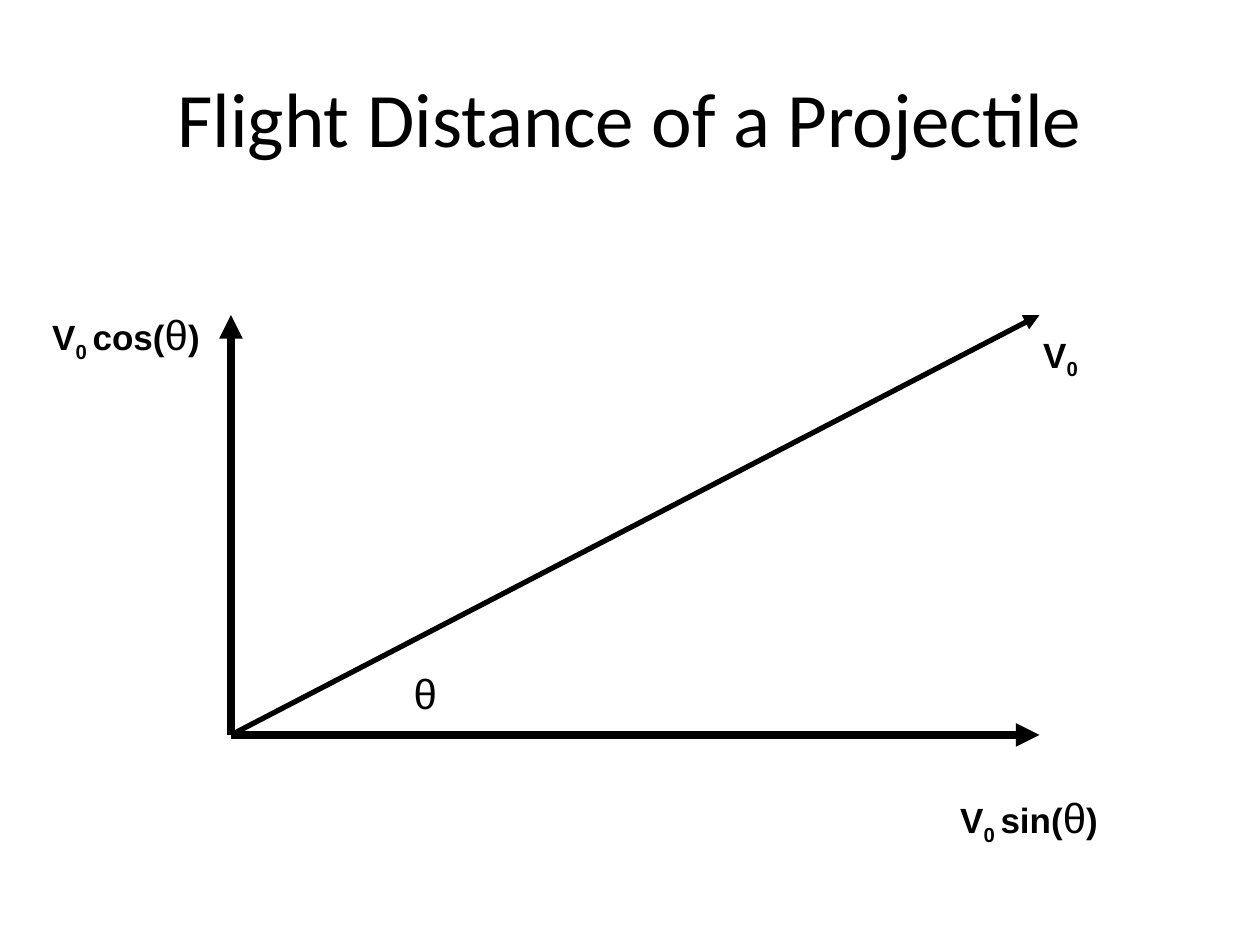
from dataclasses import dataclass

from lxml import etree
from pptx import Presentation
from pptx import util as u
from pptx.dml.color import RGBColor
from pptx.enum import shapes, text
from pptx.oxml.ns import qn


@dataclass(frozen=True)
class Theme:
    ink: RGBColor = RGBColor(0, 0, 0)
    title_font: str = "Calibri"
    label_font: str = "Arial"
    title_size: int = 44
    label_size: int = 20
    angle_size: int = 24
    axis_width: float = 4.5
    velocity_width: float = 3


THEME = Theme()
WIDTH, HEIGHT = u.Inches(10), u.Inches(7.5)
COLUMNS, ROWS = 120, 90

TITLE = {"name": THEME.title_font, "size": u.Pt(THEME.title_size), "bold": False}
LABEL = {"name": THEME.label_font, "size": u.Pt(THEME.label_size), "bold": True}
ANGLE = {"name": THEME.label_font, "size": u.Pt(THEME.angle_size), "bold": False}

ORIGIN = (22, 70)
UP, RIGHT, DIAGONAL = (22, 30), (99, 70), (99, 30)


def column(count):
    return round(WIDTH * count / COLUMNS)


def row(count):
    return round(HEIGHT * count / ROWS)


def add_text(slide, box, runs, wrap=False):
    left, top, width, height = box
    shape = slide.shapes.add_textbox(column(left), row(top), column(width), row(height))
    frame = shape.text_frame
    frame.word_wrap = wrap
    frame.vertical_anchor = text.MSO_ANCHOR.MIDDLE
    paragraph = frame.paragraphs[0]
    paragraph.alignment = text.PP_ALIGN.CENTER
    for content, style, baseline in runs:
        run = paragraph.add_run()
        run.text = content
        for name, value in style.items():
            setattr(run.font, name, value)
        run.font.color.rgb = THEME.ink
        if baseline:
            run.font._element.set("baseline", str(baseline * 1000))


def velocity_runs(function=None):
    if function is None:
        return [("V", LABEL, 0), ("0", LABEL, -25)]
    return [
        ("V", LABEL, 0),
        ("0 ", LABEL, -25),
        (f"{function}(", LABEL, 0),
        ("θ", ANGLE, 0),
        (")", LABEL, 0),
    ]


def add_arrow(slide, start, end, width):
    arrow = slide.shapes.add_connector(
        shapes.MSO_CONNECTOR.STRAIGHT,
        column(start[0]), row(start[1]), column(end[0]), row(end[1]),
    )
    arrow.line.color.rgb = THEME.ink
    arrow.line.width = u.Pt(width)
    etree.SubElement(arrow.line._get_or_add_ln(), qn("a:tailEnd"), type="triangle")
    etree.SubElement(arrow._element.spPr, qn("a:effectLst"))


def main():
    presentation = Presentation()
    presentation.slide_width, presentation.slide_height = WIDTH, HEIGHT
    slide = presentation.slides.add_slide(presentation.slide_layouts[6])

    title = "Flight Distance of a Projectile"
    add_text(slide, (6, 3.6, 108, 15), [(title, TITLE, 0)], wrap=True)
    add_text(slide, (79, 28, 44, 12), velocity_runs())
    for end, width in (
        (UP, THEME.axis_width),
        (RIGHT, THEME.axis_width),
        (DIAGONAL, THEME.velocity_width),
    ):
        add_arrow(slide, ORIGIN, end, width)
    add_text(slide, (76, 72, 44, 12), velocity_runs("sin"))
    add_text(slide, (-10, 26, 44, 12), velocity_runs("cos"))
    add_text(slide, (34, 61, 13, 10), [("θ", ANGLE, 0)])

    presentation.save("out.pptx")


if __name__ == "__main__":
    main()
